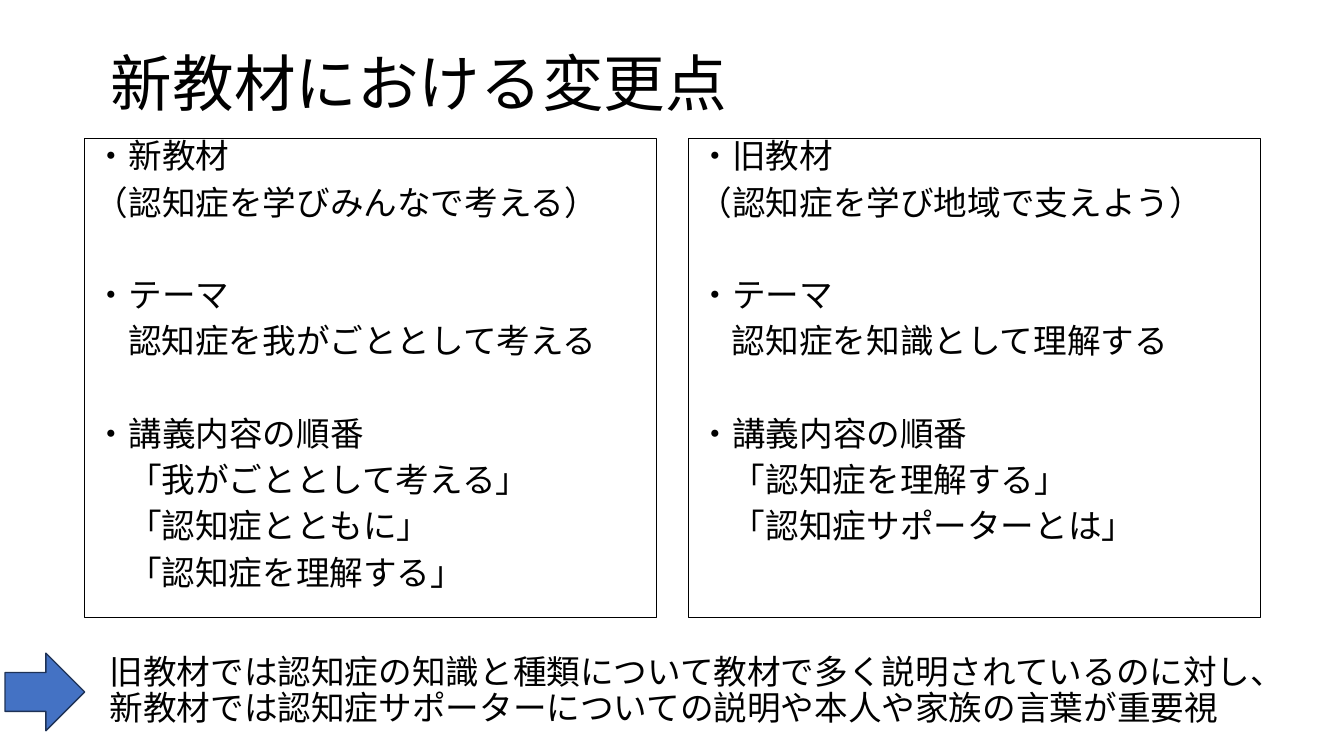
from lxml import etree
from pptx import Presentation
from pptx.dml.color import RGBColor
from pptx.enum.shapes import MSO_SHAPE
from pptx.enum.text import MSO_ANCHOR, MSO_AUTO_SIZE, PP_ALIGN
from pptx.oxml.ns import qn
from pptx.util import Inches, Pt

RIGHT_ARROW = MSO_SHAPE.RIGHT_ARROW
MIDDLE, TOP = MSO_ANCHOR.MIDDLE, MSO_ANCHOR.TOP
NO_FIT = MSO_AUTO_SIZE.NONE
LEFT = PP_ALIGN.LEFT

COLORS = {"ink": "000000", "arrow": "4472C4", "arrow_edge": "1E3256"}
FONT = "Calibri"
BODY_SIZE = 24
LINE_GAP = 10
SECTION_GAP = 43
INDENT = 0.33

PANEL_LEFT, PANEL_TOP = 0.84, 1.37
PANEL_WIDTH, PANEL_HEIGHT = 5.67, 4.76
PANEL_STEP = 5.99

MATERIALS = [
    [
        ("・新教材", ["（認知症を学びみんなで考える）"], 0),
        ("・テーマ", ["認知症を我がごととして考える"], INDENT),
        ("・講義内容の順番",
         ["「我がごととして考える」", "「認知症とともに」", "「認知症を理解する」"], INDENT),
    ],
    [
        ("・旧教材", ["（認知症を学び地域で支えよう）"], 0),
        ("・テーマ", ["認知症を知識として理解する"], INDENT),
        ("・講義内容の順番", ["「認知症を理解する」", "「認知症サポーターとは」"], INDENT),
    ],
]
SUMMARY = ("旧教材では認知症の知識と種類について教材で多く説明されているのに対し、"
           "新教材では認知症サポーターについての説明や本人や家族の言葉が重要視")


def color(name):
    return RGBColor.from_string(COLORS[name])


def place(shape, box):
    shape.left, shape.top, shape.width, shape.height = map(Inches, box)


def prepare_frame(shape, anchor):
    frame = shape.text_frame
    frame.word_wrap = True
    frame.auto_size = NO_FIT
    frame.vertical_anchor = anchor
    return frame


def write(para, text, size=BODY_SIZE, spacing=0.9, before=0, indent=0):
    para.alignment = LEFT
    para.line_spacing = spacing
    para.space_before = Pt(before)
    properties = para._p.get_or_add_pPr()
    properties.set("marL", str(Inches(indent)))
    properties.set("indent", "0")
    etree.SubElement(properties, qn("a:buNone"))
    span = para.add_run()
    span.text = text
    span.font.size = Pt(size)
    span.font.name = FONT
    span.font.color.rgb = color("ink")


def add_title(page, box):
    title = page.shapes.title
    place(title, box)
    write(prepare_frame(title, MIDDLE).paragraphs[0], "新教材における変更点", size=44)


def fill_panel(panel, box, sections):
    place(panel, box)
    panel.line.color.rgb = color("ink")
    panel.line.width = Pt(0.75)
    frame = prepare_frame(panel, TOP)
    for number, (heading, details, indent) in enumerate(sections):
        para = frame.add_paragraph() if number else frame.paragraphs[0]
        write(para, heading, spacing=0.8, before=SECTION_GAP if number else LINE_GAP)
        for detail in details:
            write(frame.add_paragraph(), detail, spacing=0.8, before=LINE_GAP, indent=indent)


def add_summary(page, box):
    left, top, width, height = box
    arrow_width, arrow_height = 0.79, 0.77
    arrow = page.shapes.add_shape(
        RIGHT_ARROW, Inches(left), Inches(top + (height - arrow_height) / 2),
        Inches(arrow_width), Inches(arrow_height))
    arrow.shadow.inherit = False
    arrow.fill.solid()
    arrow.fill.fore_color.rgb = color("arrow")
    arrow.line.color.rgb = color("arrow_edge")
    arrow.line.width = Pt(1)
    text_offset = arrow_width + 0.15
    note = page.shapes.add_textbox(
        Inches(left + text_offset), Inches(top), Inches(width - text_offset), Inches(height))
    write(prepare_frame(note, MIDDLE).paragraphs[0], SUMMARY)


def main():
    deck = Presentation()
    deck.slide_width, deck.slide_height = Inches(13.33), Inches(7.5)
    page = deck.slides.add_slide(deck.slide_layouts[3])
    add_title(page, (1, 0.13, 11.5, 1.45))
    for column, sections in enumerate(MATERIALS):
        box = (PANEL_LEFT + column * PANEL_STEP, PANEL_TOP, PANEL_WIDTH, PANEL_HEIGHT)
        fill_panel(page.placeholders[column + 1], box, sections)
    add_summary(page, (0.05, 6.13, 12.88, 1.47))
    deck.save("out.pptx")


if __name__ == "__main__":
    main()
